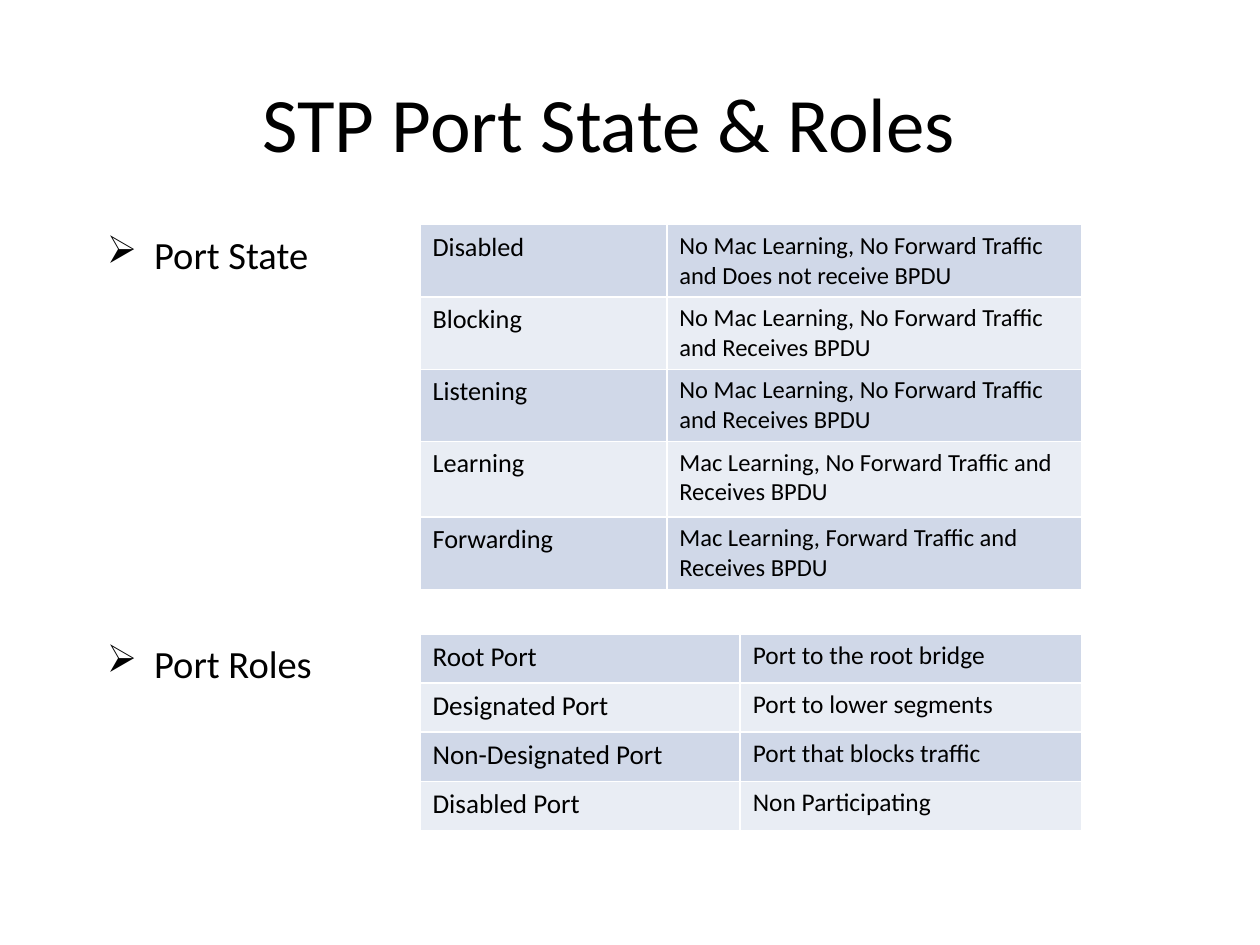
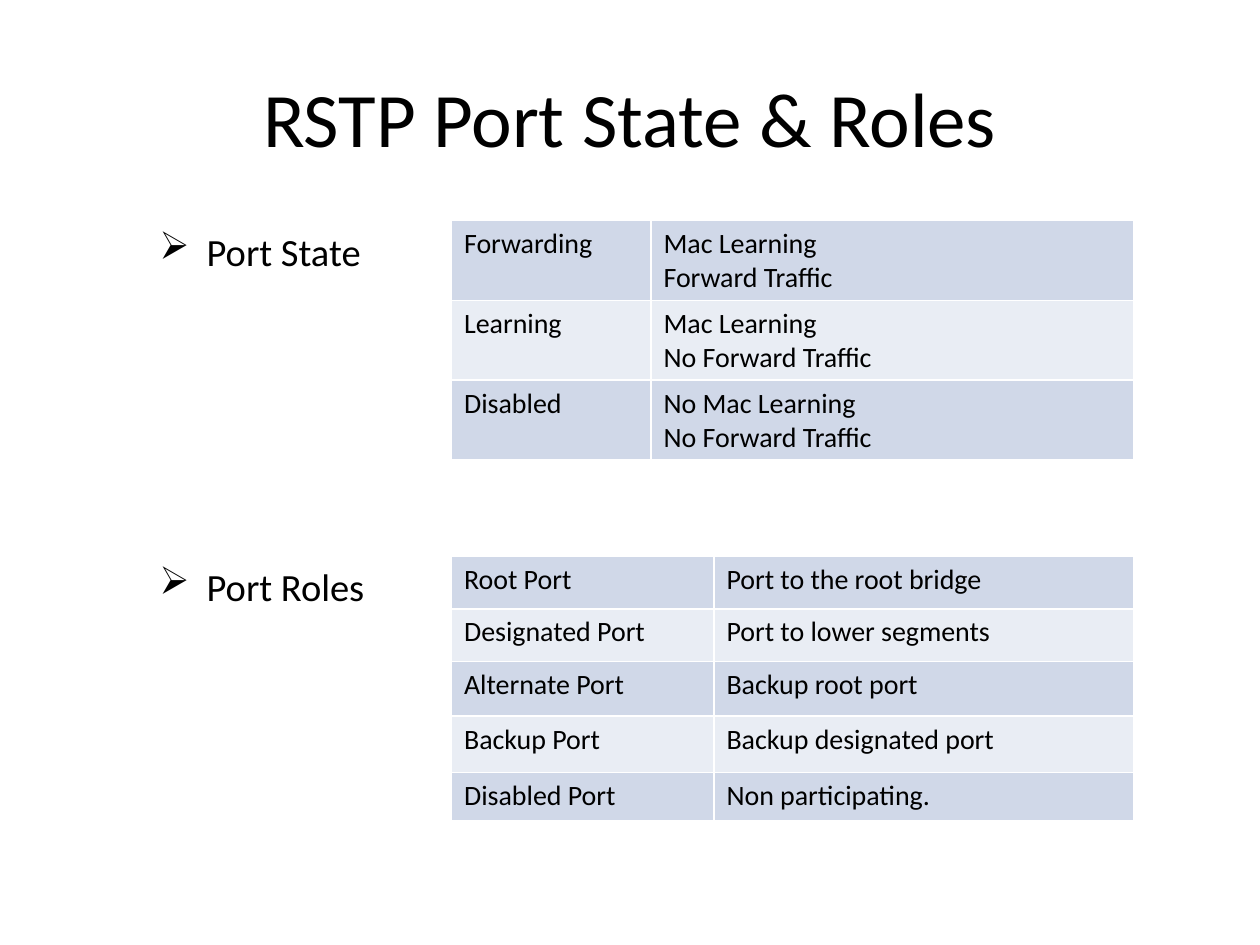
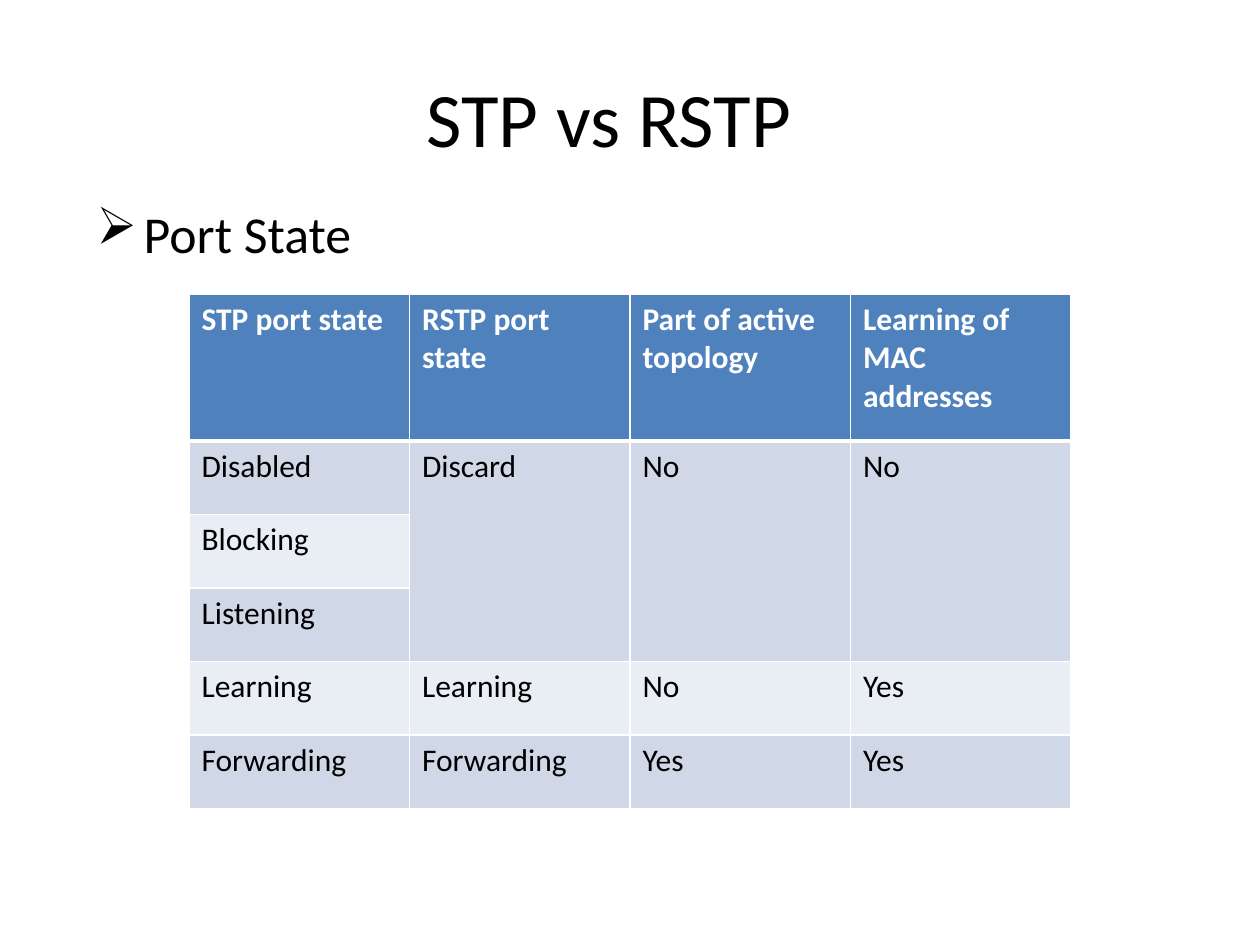
from lxml.etree import SubElement
from pptx import Presentation
from pptx.dml.color import RGBColor
from pptx.enum.text import MSO_ANCHOR as Anchor, PP_ALIGN as Align
from pptx.oxml import parse_xml
from pptx.oxml.ns import nsdecls, qn
from pptx.util import Emu, Inches, Pt

WIDTH, HEIGHT = Inches(10), Inches(7.5)
GRID_COLUMNS, GRID_ROWS = 120, 90
FONT = "Calibri"
BLACK, WHITE = "000000", "FFFFFF"
HEADER_FILL = "4F81BD"
BAND_FILLS = ("D0D8E8", "E9EDF4")
THIN, THICK = 1, 3
BULLET_INDENT = 4.5


def color(hex_string):
    return RGBColor.from_string(hex_string)


def across(columns):
    return Emu(round(WIDTH * columns / GRID_COLUMNS))


def down(rows):
    return Emu(round(HEIGHT * rows / GRID_ROWS))


def frame(left, top, width, height):
    return across(left), down(top), across(width), down(height)


def style_font(paragraph, size, hex_string=BLACK, bold=False):
    font = paragraph.font
    font.name, font.size, font.bold = FONT, Pt(size), bold
    font.color.rgb = color(hex_string)


def add_titled_slide(presentation, text, left, top):
    slide = presentation.slides.add_slide(presentation.slide_layouts[5])
    title = slide.shapes.title
    title.left, title.top, title.width, title.height = frame(left, top, 108, 15)
    title.text_frame.text = text
    title.text_frame.vertical_anchor = Anchor.MIDDLE
    paragraph = title.text_frame.paragraphs[0]
    paragraph.alignment = Align.CENTER
    style_font(paragraph, 44)
    return slide


def add_bullet_label(slide, text, left, top, width=28, height=5.6, size=22):
    box = slide.shapes.add_textbox(*frame(left, top, width, height))
    box.text_frame.word_wrap = True
    paragraph = box.text_frame.paragraphs[0]
    paragraph.text = text
    properties = paragraph._p.get_or_add_pPr()
    indent = across(BULLET_INDENT)
    properties.set("marL", str(indent))
    properties.set("indent", str(-indent))
    SubElement(properties, qn("a:buChar")).set("char", "➢")
    style_font(paragraph, size)


def set_borders(cell, top, bottom):
    properties = cell._tc.get_or_add_tcPr()
    weights = {"lnL": THIN, "lnR": THIN, "lnT": top, "lnB": bottom}
    for position, (edge, weight) in enumerate(weights.items()):
        properties.insert(position, parse_xml(
            f'<a:{edge} {nsdecls("a")} w="{Pt(weight)}"><a:solidFill>'
            f'<a:srgbClr val="{WHITE}"/></a:solidFill></a:{edge}>'))


def merge_down(table, rows):
    for column in range(len(rows[0])):
        start = 0
        for row in range(1, len(rows) + 1):
            if row == len(rows) or rows[row][column] is not None:
                if row - start > 1:
                    table.cell(start, column).merge(table.cell(row - 1, column))
                start = row


def add_banded_table(slide, left, top, widths, heights, rows, sizes, header=False):
    shape = slide.shapes.add_table(
        len(rows), len(widths), *frame(left, top, sum(widths), sum(heights)))
    table = shape.table
    table.first_row, table.horz_banding = header, False
    for column, width in zip(table.columns, widths):
        column.width = across(width)
    for row, height in zip(table.rows, heights):
        row.height = down(height)
    for r, values in enumerate(rows):
        is_header = header and r == 0
        fill = HEADER_FILL if is_header else BAND_FILLS[(r - header) % 2]
        for c, value in enumerate(values):
            cell = table.cell(r, c)
            cell.fill.solid()
            cell.fill.fore_color.rgb = color(fill)
            set_borders(cell, THICK if header and r == 1 else THIN,
                        THICK if is_header else THIN)
            if value is not None:
                cell.text = value
                for paragraph in cell.text_frame.paragraphs:
                    style_font(paragraph, sizes[c],
                               WHITE if is_header else BLACK, is_header)
    merge_down(table, rows)


def build_stp_slide(presentation):
    slide = add_titled_slide(presentation, "STP Port State & Roles", 4, 4.1)
    states_top, roles_top = 21.4, 60.4
    add_banded_table(slide, 40, states_top, (23.5, 39.5), (6.87, 6.87, 6.87, 7.2, 6.87), [
        ("Disabled", "No Mac Learning, No Forward Traffic and Does not receive BPDU"),
        ("Blocking", "No Mac Learning, No Forward Traffic and Receives BPDU"),
        ("Listening", "No Mac Learning, No Forward Traffic and Receives BPDU"),
        ("Learning", "Mac Learning, No Forward Traffic and Receives BPDU"),
        ("Forwarding", "Mac Learning, Forward Traffic and Receives BPDU"),
    ], (15, 14))
    add_banded_table(slide, 40, roles_top, (30.5, 32.5), [4.67] * 4, [
        ("Root Port", "Port to the root bridge"),
        ("Designated Port", "Port to lower segments"),
        ("Non-Designated Port", "Port that blocks traffic"),
        ("Disabled Port", "Non Participating"),
    ], (15.5, 14.5))
    add_bullet_label(slide, "Port State", 9, states_top)
    add_bullet_label(slide, "Port Roles", 9, roles_top)


def build_rstp_slide(presentation):
    slide = add_titled_slide(presentation, "RSTP Port State & Roles", 6, 3.6)
    states_top, roles_top = 21, 53
    add_bullet_label(slide, "Port State", 14, states_top + 0.1)
    add_bullet_label(slide, "Port Roles", 14, roles_top)
    add_banded_table(slide, 43, roles_top, (25, 40), (5, 5, 5.2, 5.4, 4.6), [
        ("Root Port", "Port to the root bridge"),
        ("Designated Port", "Port to lower segments"),
        ("Alternate Port", "Backup root port"),
        ("Backup Port", "Backup designated port"),
        ("Disabled Port", "Non participating."),
    ], (16, 16))
    add_banded_table(slide, 43, states_top, (19, 46), [7.6] * 3, [
        ("Forwarding", "Mac Learning\nForward Traffic"),
        ("Learning", "Mac Learning\nNo Forward Traffic"),
        ("Disabled", "No Mac Learning\nNo Forward Traffic"),
    ], (16, 16))


def build_comparison_slide(presentation):
    slide = add_titled_slide(presentation, "STP vs RSTP", 4, 3.6)
    add_bullet_label(slide, "Port State", 8, 18.6, 27, 7.4, 29.6)
    add_banded_table(slide, 18, 28, [21] * 4, [14] + [7] * 5, [
        ("STP port state", "RSTP port state", "Part of active topology",
         "Learning of MAC addresses"),
        ("Disabled", "Discard", "No", "No"),
        ("Blocking", None, None, None),
        ("Listening", None, None, None),
        ("Learning", "Learning", "No", "Yes"),
        ("Forwarding", "Forwarding", "Yes", "Yes"),
    ], [18] * 4, header=True)


def main():
    presentation = Presentation()
    presentation.slide_width, presentation.slide_height = WIDTH, HEIGHT
    build_stp_slide(presentation)
    build_rstp_slide(presentation)
    build_comparison_slide(presentation)
    presentation.save("out.pptx")


if __name__ == "__main__":
    main()
